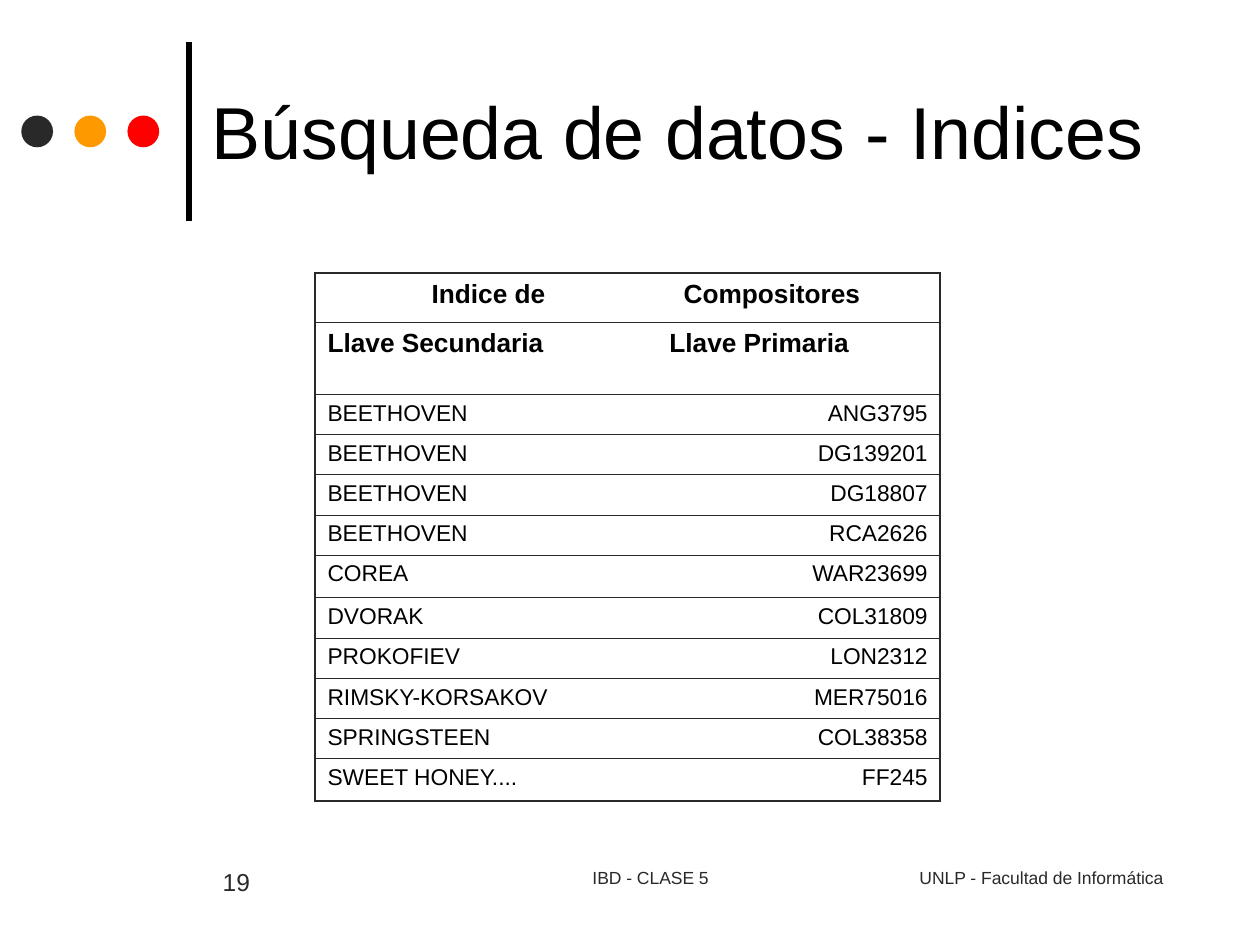
from lxml import etree
from pptx import Presentation
from pptx import util as u
from pptx.dml.color import RGBColor
from pptx.enum import shapes, text
from pptx.oxml.ns import qn

FONT = "Arial"
HUE = {"ink": "000000", "dark": "292929", "gold": "FF9900", "red": "FF0000"}
LEFT, MID, RIGHT = text.PP_ALIGN.LEFT, text.PP_ALIGN.CENTER, text.PP_ALIGN.RIGHT

# Content
TITLE = "Búsqueda de datos - Indices"
HEADS = [("Indice de", "Compositores"), ("Llave Secundaria", "Llave Primaria")]
KEYS = [
    ("BEETHOVEN", "ANG3795"),
    ("BEETHOVEN", "DG139201"),
    ("BEETHOVEN", "DG18807"),
    ("BEETHOVEN", "RCA2626"),
    ("COREA", "WAR23699"),
    ("DVORAK", "COL31809"),
    ("PROKOFIEV", "LON2312"),
    ("RIMSKY-KORSAKOV", "MER75016"),
    ("SPRINGSTEEN", "COL38358"),
    ("SWEET HONEY....", "FF245"),
]
# Footer: wording, left, width, size, alignment
FOOT = [
    ("IBD - CLASE 5", 9.09, 8.05, 10, MID),
    ("19", 4.24, 3.61, 14, LEFT),
    ("UNLP - Facultad de Informática", 16.89, 6.81, 10, RIGHT),
]
DOTS = ["dark", "gold", "red"]
COLS = [5.82, 1.07, 5.71]
ROWS = [0.99, 1.45] + [0.81] * 4 + [0.86] + [0.81] * 4 + [0.86]
THICK, THIN = 1.08, 0.45


def rgb(name):
    return RGBColor.from_string(HUE[name])


def write(frame, words, size, hue="ink", align=LEFT, bold=False):
    frame.text = words
    para = frame.paragraphs[0]
    para.alignment = align
    font = para.runs[0].font
    font.name, font.size, font.bold = FONT, u.Pt(size), bold
    font.color.rgb = rgb(hue)


def add_text(slide, box, words, size, hue, align=LEFT, anchor=text.MSO_ANCHOR.TOP):
    frame = slide.shapes.add_textbox(*map(u.Cm, box)).text_frame
    frame.word_wrap = True
    frame.vertical_anchor = anchor
    write(frame, words, size, hue, align)


def edge(cell, side, width):
    """Draw one border of a cell; a width of 0 means no line."""
    props = cell._tc.get_or_add_tcPr()
    line = etree.SubElement(props, qn("a:ln" + side), w=str(u.Pt(width)))
    if width:
        fill = etree.SubElement(line, qn("a:solidFill"))
        etree.SubElement(fill, qn("a:srgbClr"), val=HUE["dark"])
    else:
        etree.SubElement(line, qn("a:noFill"))


def add_index(slide):
    rows, cols = len(ROWS), len(COLS)
    frame = slide.shapes.add_table(rows, cols, u.Cm(6.35), u.Cm(5.51),
                                   u.Cm(sum(COLS)), u.Cm(sum(ROWS)))
    table = frame.table
    table.first_row = table.horz_banding = False
    for col, width in zip(table.columns, COLS):
        col.width = u.Cm(width)
    for row, height in zip(table.rows, ROWS):
        row.height = u.Cm(height)

    # The second heading row splits after column 1, all others after column 0
    for r, (first, last) in enumerate(HEADS + KEYS):
        split = 2 if r == 1 else 1
        if split == 2:
            table.cell(r, 0).merge(table.cell(r, 1))
        else:
            table.cell(r, 1).merge(table.cell(r, 2))
        for c in range(cols):
            cell = table.cell(r, c)
            end = c + (cell.span_width if cell.is_merge_origin else 1)
            edge(cell, "L", THICK if c == 0 else 0)
            edge(cell, "R", THICK if end == cols else 0)
            edge(cell, "T", THICK if r == 0 else THIN)
            edge(cell, "B", THICK if r == rows - 1 else THIN)
            cell.fill.background()
        size = 15 if r < len(HEADS) else 13
        aligns = [(MID, MID), (LEFT, LEFT)][r] if r < len(HEADS) else (LEFT, RIGHT)
        for c, words, align in zip((0, split), (first, last), aligns):
            write(table.cell(r, c).text_frame, words, size, align=align,
                  bold=r < len(HEADS))
    table.cell(0, 0).margin_left = u.Cm(1.43)


def main():
    deck = Presentation()
    deck.slide_width, deck.slide_height = u.Cm(25.4), u.Cm(19.05)
    slide = deck.slides.add_slide(deck.slide_layouts[6])

    # Vertical rule
    rule = slide.shapes.add_connector(shapes.MSO_CONNECTOR.STRAIGHT, u.Cm(3.81),
                                      u.Cm(4.45), u.Cm(3.81), u.Cm(0.85))
    rule.line.color.rgb = rgb("ink")
    rule.line.width = u.Pt(3)
    etree.SubElement(rule._element.spPr, qn("a:effectLst"))

    # Three dots
    for i, hue in enumerate(DOTS):
        dot = slide.shapes.add_shape(shapes.MSO_SHAPE.OVAL, u.Cm(0.43 + 1.07 * i),
                                     u.Cm(2.33), u.Cm(0.64), u.Cm(0.64))
        dot.shadow.inherit = False
        dot.fill.solid()
        dot.fill.fore_color.rgb = rgb(hue)
        dot.line.fill.background()

    # Title, table and footer
    add_text(slide, (4.02, 1.48, 19.47, 2.29), TITLE, 42, "ink",
             anchor=text.MSO_ANCHOR.MIDDLE)
    add_index(slide)
    for words, left, width, size, align in FOOT:
        add_text(slide, (left, 17.36, width, 1.27), words, size, "dark", align)

    deck.save("out.pptx")


if __name__ == "__main__":
    main()
